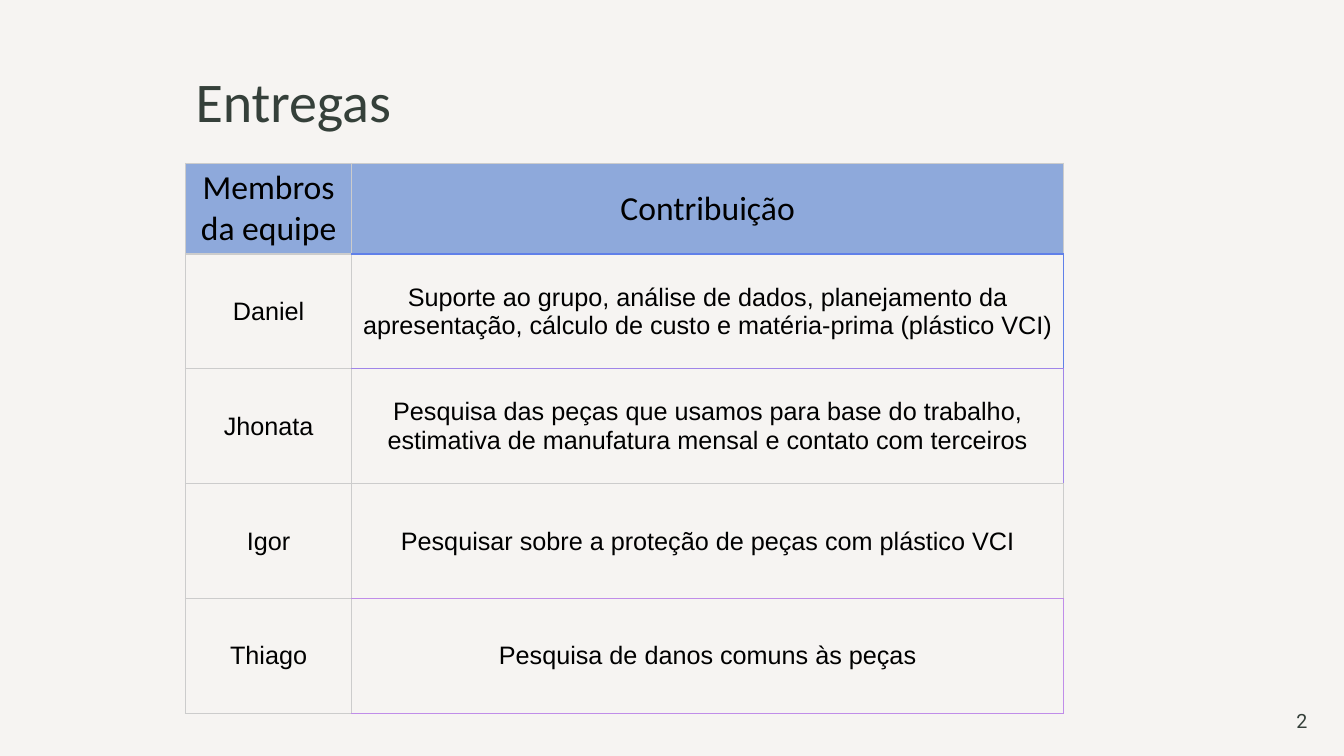
"""Build the "Entregas" slide: a title, a table of team contributions and a page number."""
from dataclasses import dataclass

from lxml.etree import SubElement
from pptx import Presentation
from pptx.dml.color import RGBColor
from pptx.enum.text import MSO_ANCHOR as Anchor, PP_ALIGN as Align
from pptx.oxml.ns import qn
from pptx.util import Pt

BACKGROUND = "F6F4F2"
INK = "35403A"
BLACK = "000000"
HEADER_FILL = "8EA9DB"
GREY = "CCCCCC"
BLUE = "6080E9"
VIOLET = "A085E9"
PURPLE = "C08DE9"
COLUMN_WIDTHS = (118.8, 508.3)
HEADER_HEIGHT = 64.8
ROW_HEIGHT = 82.1


@dataclass(frozen=True)
class Row:
    member: str
    contribution: str
    right: str
    bottom: str


ROWS = (
    Row("Membros da equipe", "Contribuição", GREY, BLUE),
    Row("Daniel", "Suporte ao grupo, análise de dados, planejamento da apresentação, "
        "cálculo de custo e matéria-prima (plástico VCI)", BLUE, VIOLET),
    Row("Jhonata", "Pesquisa das peças que usamos para base do trabalho, "
        "estimativa de manufatura mensal e contato com terceiros", VIOLET, GREY),
    Row("Igor", "Pesquisar sobre a proteção de peças com plástico VCI", GREY, PURPLE),
    Row("Thiago", "Pesquisa de danos comuns às peças", PURPLE, PURPLE),
)


def paint(target, color: str) -> None:
    target.solid()
    target.fore_color.rgb = RGBColor.from_string(color)


def write(frame, text: str, *, size: float, font: str, color: str,
          align=Align.LEFT, anchor=Anchor.MIDDLE, after: float = 0) -> None:
    frame.word_wrap = True
    frame.vertical_anchor = anchor
    paragraph = frame.paragraphs[0]
    paragraph.alignment = align
    paragraph.space_after = Pt(after)
    run = paragraph.add_run()
    run.text = text
    run.font.size = Pt(size)
    run.font.name = font
    run.font.bold = False
    paint(run.font.fill, color)


def set_borders(cell, left: str, right: str, top: str, bottom: str) -> None:
    properties = cell._tc.get_or_add_tcPr()
    for index, (side, color) in enumerate(zip("LRTB", (left, right, top, bottom))):
        line = SubElement(properties, qn(f"a:ln{side}"), w=str(Pt(1)))
        SubElement(SubElement(line, qn("a:solidFill")), qn("a:srgbClr"), val=color)
        properties.insert(index, line)


def add_contributions(slide) -> None:
    height = HEADER_HEIGHT + ROW_HEIGHT * (len(ROWS) - 1)
    table = slide.shapes.add_table(len(ROWS), len(COLUMN_WIDTHS), Pt(132.5), Pt(116.6),
                                   Pt(sum(COLUMN_WIDTHS)), Pt(height)).table
    table.first_row = table.horz_banding = False
    for column, width in zip(table.columns, COLUMN_WIDTHS):
        column.width = Pt(width)
    top = GREY
    for index, row in enumerate(ROWS):
        header = index == 0
        table.rows[index].height = Pt(HEADER_HEIGHT if header else ROW_HEIGHT)
        borders = ((GREY,) * 4, (GREY, row.right, top, row.bottom))
        for column, text in enumerate((row.member, row.contribution)):
            cell = table.cell(index, column)
            cell.margin_left = cell.margin_right = Pt(0.7)
            cell.margin_top = cell.margin_bottom = Pt(1.4)
            cell.vertical_anchor = Anchor.MIDDLE
            write(cell.text_frame, text, size=24 if header else 18,
                  font="Calibri" if header else "Arial", color=BLACK, align=Align.CENTER)
            if header:
                paint(cell.fill, HEADER_FILL)
            else:
                cell.fill.background()
            set_borders(cell, *borders[column])
        top = row.bottom


def main() -> None:
    presentation = Presentation()
    presentation.slide_width, presentation.slide_height = Pt(960), Pt(540)
    slide = presentation.slides.add_slide(presentation.slide_layouts[5])
    paint(slide.background.fill, BACKGROUND)

    title = slide.shapes.title
    title.left, title.top, title.width, title.height = Pt(132.5), Pt(0), Pt(856), Pt(99.4)
    write(title.text_frame, "Entregas", size=40, font="Calibri", color=INK,
          anchor=Anchor.BOTTOM)

    add_contributions(slide)

    number = slide.shapes.add_textbox(Pt(900), Pt(500.4), Pt(41), Pt(28.8))
    write(number.text_frame, "2", size=14, font="Roboto", color=INK,
          align=Align.RIGHT, after=6)
    presentation.save("out.pptx")


if __name__ == "__main__":
    main()
